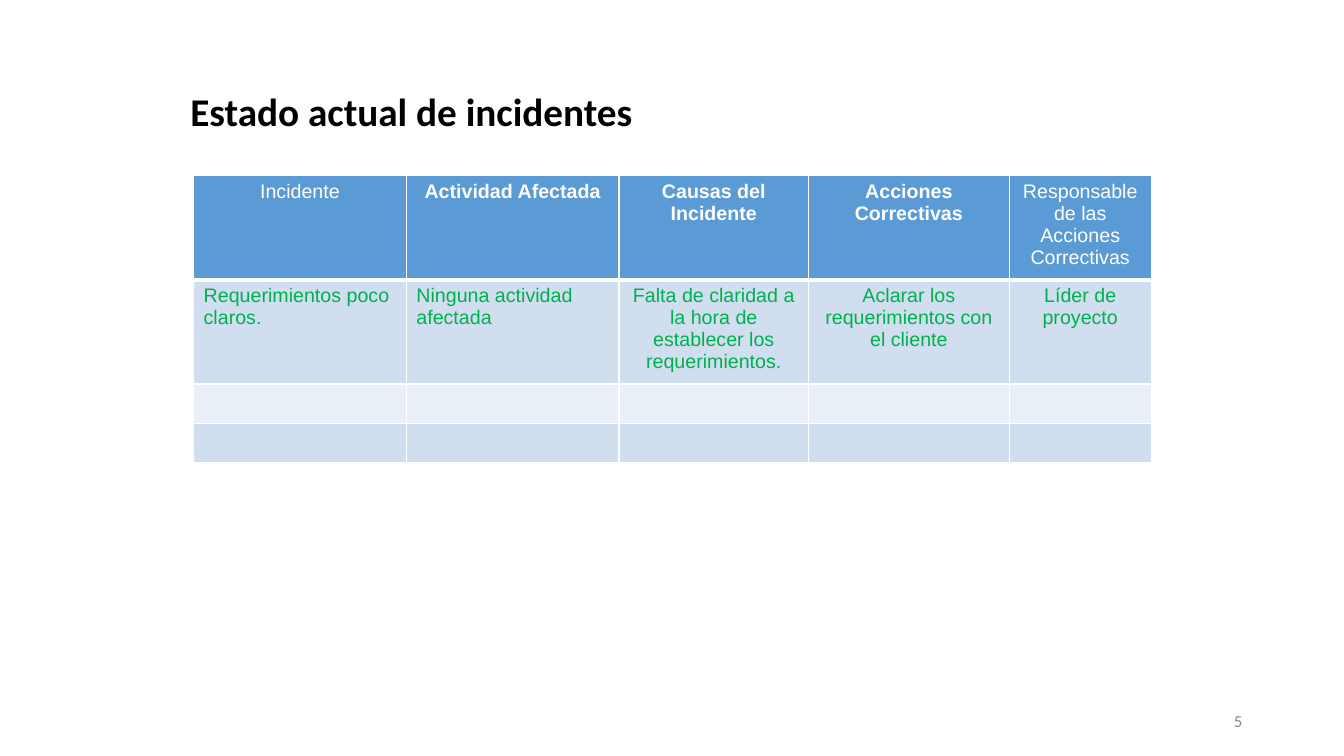
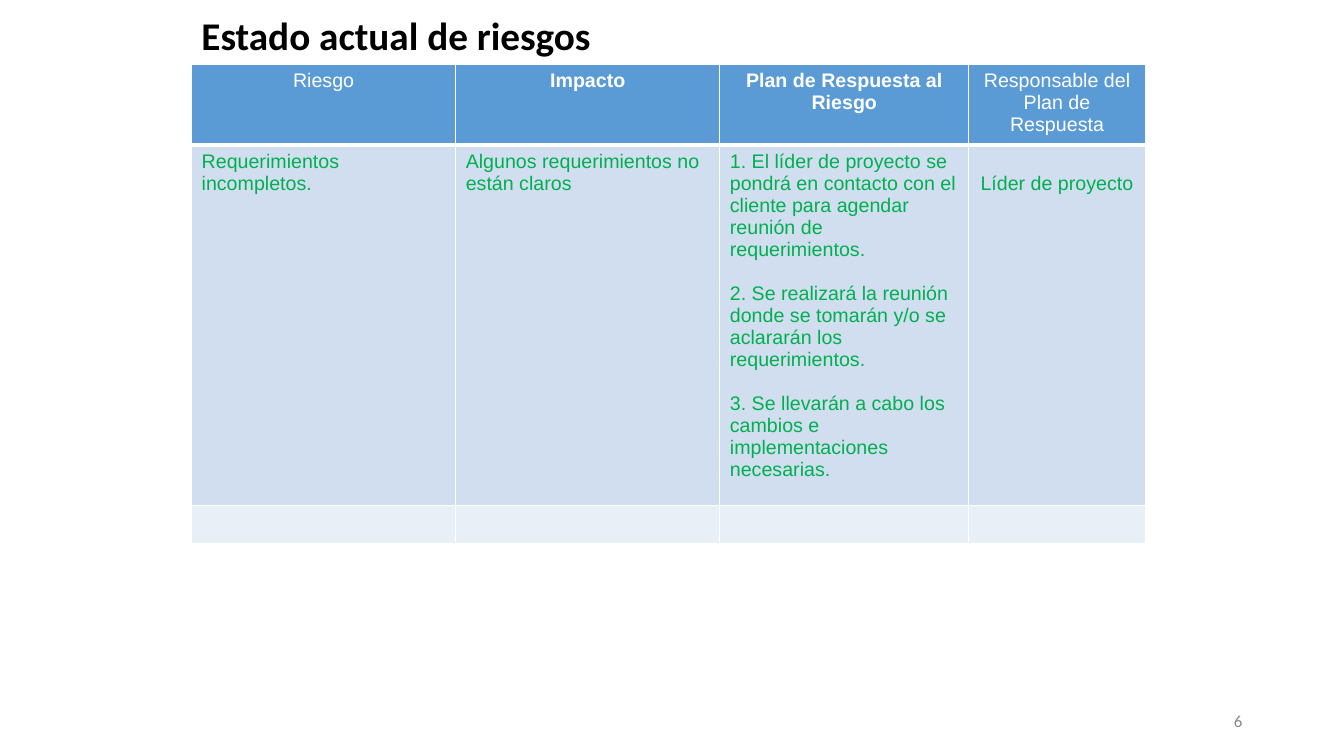
from lxml import etree
from pptx import Presentation
from pptx.dml.color import RGBColor
from pptx.enum.text import MSO_ANCHOR as ANCHOR, PP_ALIGN as ALIGN
from pptx.oxml.ns import qn
from pptx.util import Inches, Pt


def rgb(value):
    return RGBColor.from_string(value)


class Deck:
    TITLE, NUMBER = "000000", "888888"
    HEADER, BANDS = "5B9BD5", ("E9EFF7", "D0DEEF")
    HEADER_TEXT, BODY_TEXT, BORDER = "FFFFFF", "00B050", "FFFFFF"
    HEADING_FONT, TABLE_FONT = "Calibri", "Arial"
    ALIGNS = {"l": ALIGN.LEFT, "c": ALIGN.CENTER}
    LINE_GAP = Pt(15.7)

    def __init__(self):
        self.prs = Presentation()
        self.prs.slide_width, self.prs.slide_height = Inches(13.33), Inches(7.5)
        self.s = None

    def new_slide(self, title, left, top, number):
        self.s = self.prs.slides.add_slide(self.prs.slide_layouts[6])
        self.text(title, left, top, 8.5, 0.39, 28, self.TITLE, bold=True)
        self.text(number, 9.42, 6.95, 3, 0.4, 12, self.NUMBER, align=ALIGN.RIGHT)

    def style(self, p, font, size, color, bold, align):
        p.alignment = align
        p.font.name, p.font.size, p.font.bold = font, Pt(size), bold
        p.font.color.rgb = rgb(color)

    def text(self, text, left, top, width, height, size, color, bold=False, align=ALIGN.LEFT):
        sp = self.s.shapes.add_textbox(Inches(left), Inches(top), Inches(width), Inches(height))
        tf = sp.text_frame
        tf.word_wrap, tf.vertical_anchor = True, ANCHOR.MIDDLE
        p = tf.paragraphs[0]
        p.text = text
        self.style(p, self.HEADING_FONT, size, color, bold, align)

    def borders(self, cell, top, bottom):
        tc_pr = cell._tc.get_or_add_tcPr()
        for side, width in (("L", 1), ("R", 1), ("T", top), ("B", bottom)):
            ln = etree.SubElement(tc_pr, qn(f"a:ln{side}"), w=str(Pt(width)))
            fill = etree.SubElement(ln, qn("a:solidFill"))
            etree.SubElement(fill, qn("a:srgbClr"), val=self.BORDER)

    def cell(self, cell, text, fill, color, bold, align):
        cell.fill.solid()
        cell.fill.fore_color.rgb = rgb(fill)
        cell.text = text
        for i, p in enumerate(cell.text_frame.paragraphs):
            self.style(p, self.TABLE_FONT, 14, color, bold, align)
            if i:
                p.space_before = self.LINE_GAP

    def table(self, left, top, widths, heights, header, body, aligns):
        last = len(widths) - 1
        table = self.s.shapes.add_table(
            len(heights), len(widths), Inches(left), Inches(top),
            Inches(sum(widths)), Inches(sum(heights))).table
        table.horz_banding = False
        for column, width in zip(table.columns, widths):
            column.width = Inches(width)
        for r, height in enumerate(heights):
            table.rows[r].height = Inches(height)
            for c in range(last + 1):
                cell = table.cell(r, c)
                self.borders(cell, 3 if r == 1 else 1, 3 if r == 0 else 1)
                if r == 0:
                    self.cell(cell, header[c], self.HEADER, self.HEADER_TEXT,
                              0 < c < last, ALIGN.CENTER)
                else:
                    self.cell(cell, body[c] if r == 1 else "", self.BANDS[r % 2],
                              self.BODY_TEXT, False, self.ALIGNS[aligns[c]])
        return table


def main():
    deck = Deck()

    deck.new_slide("Estado actual de incidentes", 1.79, 0.9, "5")
    deck.table(
        1.92, 1.74, [2.11, 2.11, 1.88, 1.99, 1.41], [0.97, 0.99, 0.39, 0.39],
        ["Incidente", "Actividad Afectada", "Causas del Incidente",
         "Acciones Correctivas", "Responsable de las Acciones Correctivas"],
        ["Requerimientos poco claros.", "Ninguna actividad afectada",
         "Falta de claridad a la hora de establecer los requerimientos.",
         "Aclarar los requerimientos con el cliente", "Líder de proyecto"],
        "llccc")

    deck.new_slide("Estado actual de riesgos", 1.9, 0.15, "6")
    plan = "\n".join([
        "1. El líder de proyecto se pondrá en contacto con el cliente "
        "para agendar reunión de requerimientos.",
        "2. Se realizará la reunión donde se tomarán y/o se aclararán los requerimientos.",
        "3. Se llevarán a cabo los cambios e implementaciones necesarias."])
    risks = deck.table(
        1.9, 0.64, [2.62, 2.62, 2.47, 1.75], [0.75, 3.38, 0.38],
        ["Riesgo", "Impacto", "Plan de Respuesta al Riesgo",
         "Responsable del Plan de Respuesta"],
        ["Requerimientos incompletos.", "Algunos requerimientos no están claros",
         plan, "Líder de proyecto"],
        "lllc")
    risks.cell(1, 3).margin_top = Inches(0.27)

    deck.prs.save("out.pptx")


if __name__ == "__main__":
    main()
